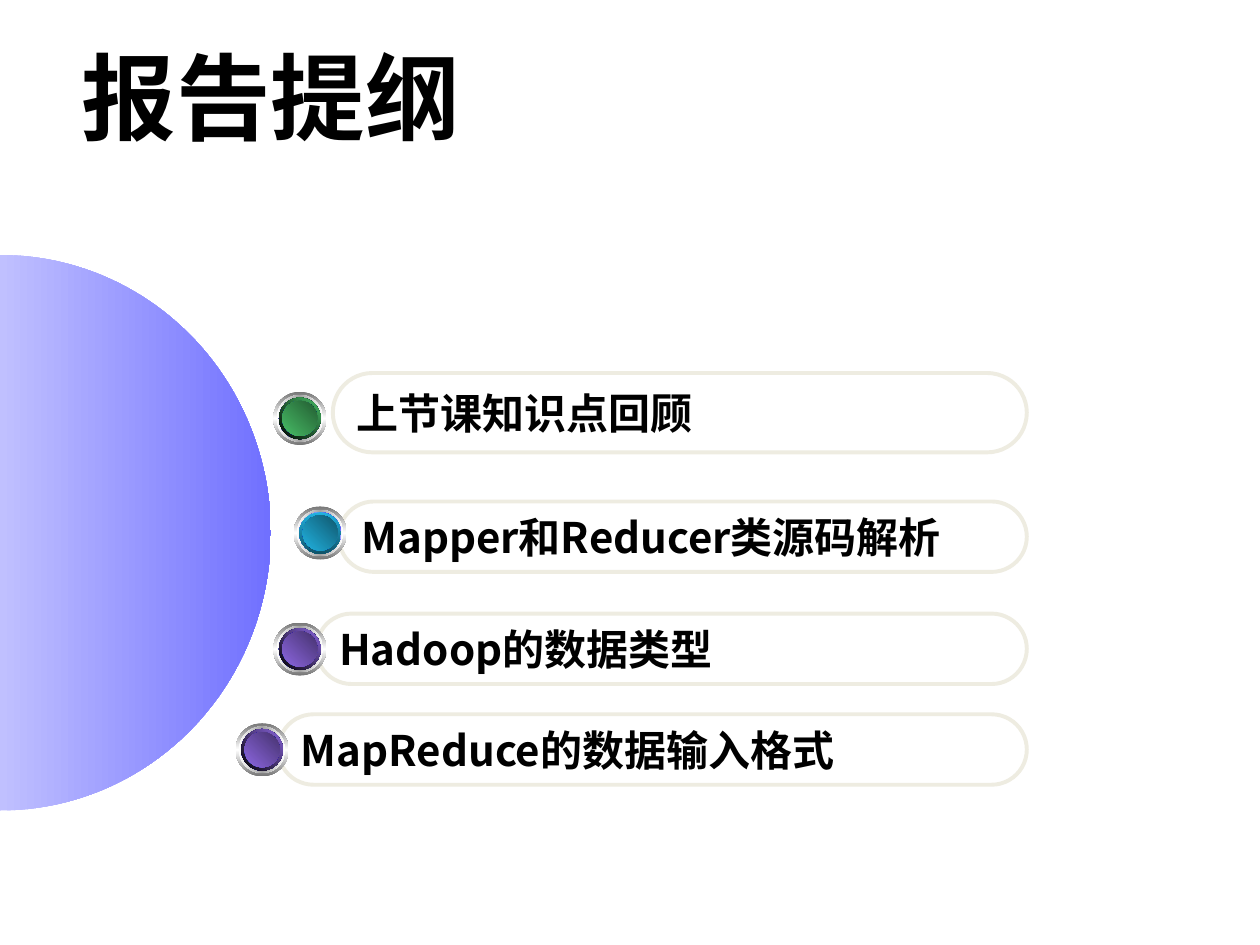
import math

import pptx
import pptx.dml.color
import pptx.enum.shapes
import pptx.enum.text
import pptx.oxml.ns
import pptx.util
from lxml import etree
from pptx.util import Cm

FONT = "Noto Sans CJK SC"
COLORS = {
    "text": "000000", "outline": "EEECE1", "white": "FFFFFF",
    "steel": "767676", "silver": "A2A2A2", "blue": "0000FF", "teal": "005353",
    "dome_light": "C0C0FF", "dome_dark": "7070FF", "black": "000000",
    "green": "48BE67", "green_dark": "235C32",
    "cyan": "21B3E1", "cyan_dark": "10576D", "cyan_rim": "0F5368",
    "violet": "8D67E1", "violet_dark": "45326D",
}
PILL_RIGHT = 20.7
BADGE_SIZE = 1.07

# Text, pill (left, top, height), badge (left, top), rim gradient, face gradient
TOPICS = [
    ("上节课知识点回顾", (6.71, 7.52, 1.6), (5.51, 7.9),
     (("black", "green"), 315), ("green", "green_dark")),
    ("Mapper和Reducer类源码解析", (6.83, 10.11, 1.42), (5.92, 10.21),
     (("cyan", "cyan_rim"), 90), ("cyan", "cyan_dark")),
    ("Hadoop的数据类型", (6.38, 12.37, 1.42), (5.51, 12.55),
     (("black", "violet"), 315), ("violet", "violet_dark")),
    ("MapReduce的数据输入格式", (5.61, 14.4, 1.42), (4.75, 14.58),
     (("black", "violet"), 315), ("violet", "violet_dark")),
]


def rgb(name):
    return pptx.dml.color.RGBColor.from_string(COLORS[name])


def fill_gradient(shape, names, clockwise_angle):
    """Fill with evenly spaced colour stops and no outline."""
    shape.shadow.inherit = False
    shape.line.fill.background()
    shape.fill.gradient()
    shape.fill.gradient_angle = (360 - clockwise_angle) % 360
    qn = pptx.oxml.ns.qn
    stops = next(shape._element.iter(qn("a:gsLst")))
    for stop in list(stops):
        stops.remove(stop)
    for i, name in enumerate(names):
        position = str(100000 * i // (len(names) - 1))
        stop = etree.SubElement(stops, qn("a:gs"), pos=position)
        etree.SubElement(stop, qn("a:srgbClr"), val=COLORS[name])


def write_text(frame, text, size):
    frame.text = text
    frame.vertical_anchor = pptx.enum.text.MSO_ANCHOR.MIDDLE
    paragraph = frame.paragraphs[0]
    paragraph.alignment = pptx.enum.text.PP_ALIGN.LEFT
    font = paragraph.runs[0].font
    font.name, font.size, font.bold = FONT, pptx.util.Pt(size), True
    font.color.rgb = rgb("text")
    # East Asian characters take their own typeface
    etree.SubElement(font._element, pptx.oxml.ns.qn("a:ea"), typeface=FONT)


def add_title(slide, text):
    title = slide.shapes.add_textbox(Cm(1.4), Cm(0.74), Cm(20.52), Cm(2.39))
    title.text_frame.word_wrap = True
    write_text(title.text_frame, text, 54)


def add_dome(slide, center_y, radius_x, radius_y, steps=90):
    """Half ellipse growing out of the left slide edge."""
    angles = [math.pi * (i / steps - 0.5) for i in range(steps + 1)]
    points = [(Cm(radius_x * math.cos(a)), Cm(center_y + radius_y * math.sin(a)))
              for a in angles]
    builder = slide.shapes.build_freeform(*points[0])
    builder.add_line_segments(points[1:], close=True)
    fill_gradient(builder.convert_to_shape(), ("dome_light", "dome_dark"), 0)


def add_pill(slide, text, left, top, height):
    pill = slide.shapes.add_shape(
        pptx.enum.shapes.MSO_SHAPE.ROUNDED_RECTANGLE,
        Cm(left), Cm(top), Cm(PILL_RIGHT - left), Cm(height))
    pill.adjustments[0] = 0.5
    pill.shadow.inherit = False
    pill.fill.background()
    pill.line.color.rgb = rgb("outline")
    pill.line.width = pptx.util.Pt(2.25)
    pill.text_frame.word_wrap = False
    write_text(pill.text_frame, text, 24)


def add_badge(slide, left, top, rim, face):
    """Concentric discs: metal ring, rim and coloured face."""
    layers = [
        (BADGE_SIZE, ("steel", "white", "steel"), 90),
        (0.94, ("white", "silver", "white"), 0),
        (0.84, ("blue", "white", "blue"), 315),
        (0.84, *rim),
        (0.71, ("blue", "teal", "blue"), 45),
        (0.71, face, 315),
    ]
    badge = slide.shapes.add_group_shape()
    for size, names, angle in layers:
        inset = (BADGE_SIZE - size) / 2
        disc = badge.shapes.add_shape(
            pptx.enum.shapes.MSO_SHAPE.OVAL,
            Cm(left + inset), Cm(top + inset), Cm(size), Cm(size))
        fill_gradient(disc, names, angle)


def main():
    deck = pptx.Presentation()
    deck.slide_width, deck.slide_height = Cm(25.4), Cm(19.05)
    slide = deck.slides.add_slide(deck.slide_layouts[6])

    # Heading and side dome
    add_title(slide, "报告提纲")
    add_dome(slide, center_y=10.74, radius_x=5.46, radius_y=5.6)

    # Agenda
    for text, pill, badge, rim, face in TOPICS:
        add_pill(slide, text, *pill)
        add_badge(slide, *badge, rim, face)

    deck.save("out.pptx")


if __name__ == "__main__":
    main()
